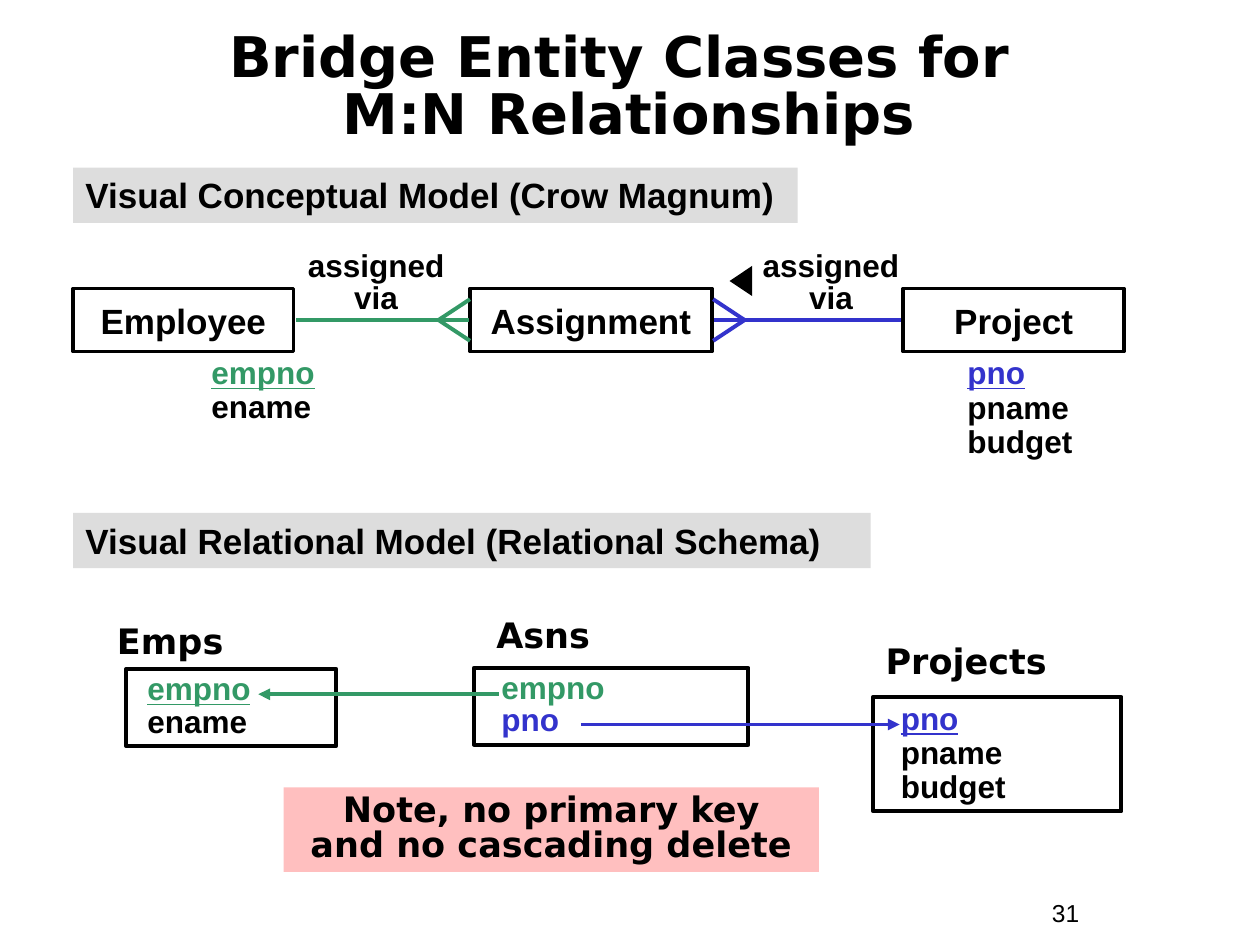
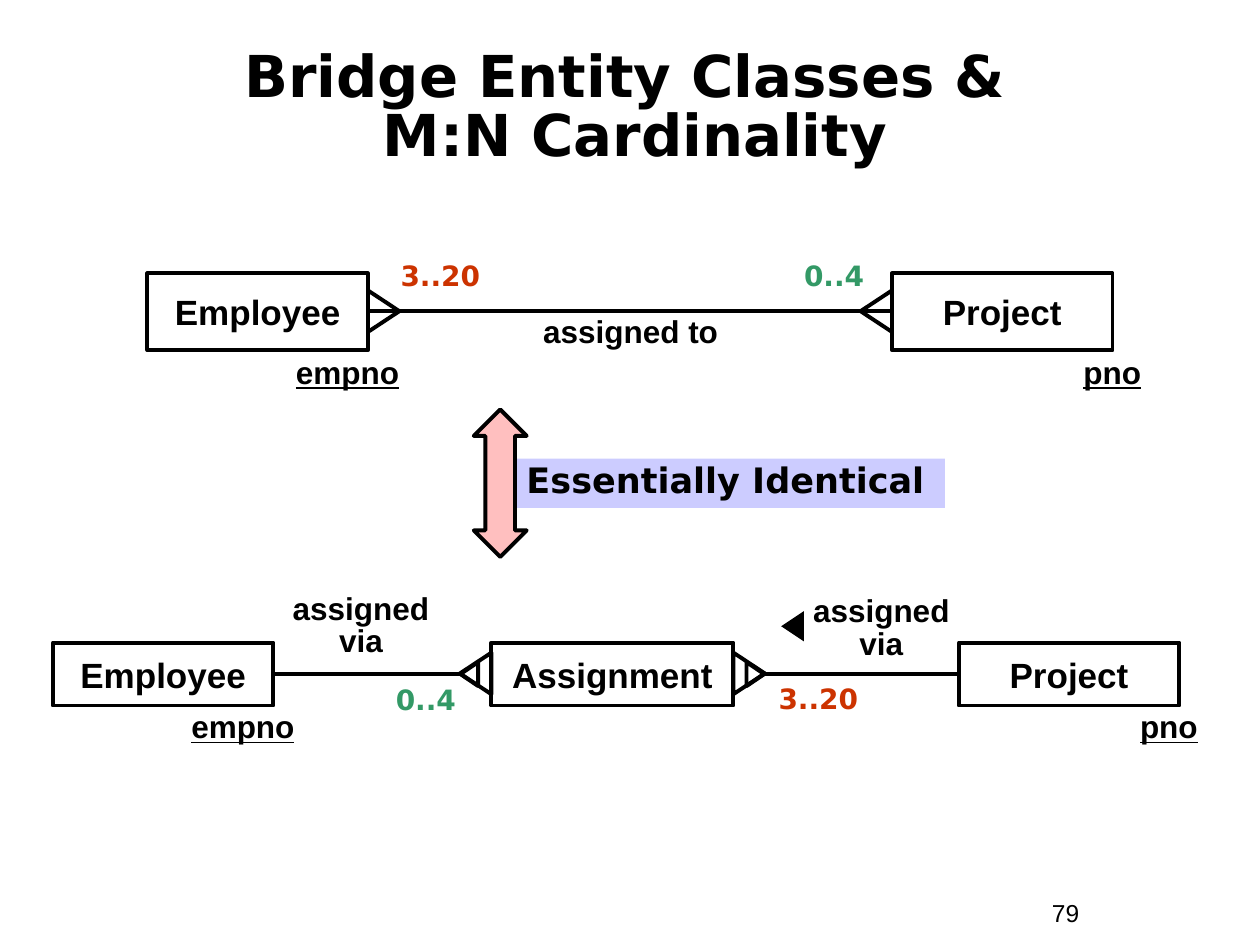
from lxml import etree
from pptx import Presentation
from pptx.dml.color import RGBColor
from pptx.enum import shapes, text
from pptx.oxml import ns
from pptx.util import Inches, Pt

BLACK = RGBColor(0x00, 0x00, 0x00)
GREEN = RGBColor(0x33, 0x99, 0x66)
BLUE = RGBColor(0x33, 0x33, 0xCC)
RED = RGBColor(0xCC, 0x33, 0x00)
GREY = RGBColor(0xDD, 0xDD, 0xDD)
PINK = RGBColor(0xFF, 0xBF, 0xBF)
LILAC = RGBColor(0xCC, 0xCC, 0xFF)

RECT = shapes.MSO_SHAPE.RECTANGLE
TRIANGLE = shapes.MSO_SHAPE.ISOSCELES_TRIANGLE
CENTER = text.PP_ALIGN.CENTER
MIDDLE = text.MSO_ANCHOR.MIDDLE
ARIAL, DEJAVU = "Arial", "DejaVu Sans"

TITLE = dict(name=DEJAVU, align=CENTER, anchor=MIDDLE, spacing=0.85)
ENTITY = dict(kind=RECT, edge=BLACK, size=20, align=CENTER, anchor=MIDDLE)
BAND = dict(kind=RECT, fill=GREY, size=20)
VERB = dict(align=CENTER, spacing=0.85)
FIELDS = dict(spacing=0.9)
TABLE_NAME = dict(name=DEJAVU, size=20)
CARDINALITY = dict(name=DEJAVU, size=16, align=CENTER)
CALLOUT = dict(kind=RECT, name=DEJAVU, size=20, spacing=0.85)


def put(page, at, lines=(), kind=None, fill=None, edge=None, turn=0, align=None,
        anchor=text.MSO_ANCHOR.TOP, spacing=1.0, margin=0.1, **font):
    """Add a text box, or a shape of the given kind; a line is text or (text, colour, underline)."""
    area = [Inches(length) for length in at]
    if kind is None:
        box = page.shapes.add_textbox(*area)
    else:
        box = page.shapes.add_shape(kind, *area)
        box.shadow.inherit = False
        box.rotation = turn
        for paint, colour in ((box.fill, fill), (box.line.fill, edge)):
            if colour is None:
                paint.background()
            else:
                paint.solid()
                paint.fore_color.rgb = colour
        if edge is not None:
            box.line.width = Pt(2.25)
    frame = box.text_frame
    frame.word_wrap = True
    frame.vertical_anchor = anchor
    frame.margin_left = Inches(margin)
    look = dict(name=ARIAL, size=18, bold=True) | font
    look["size"] = Pt(look["size"])
    for index, line in enumerate(lines):
        words, colour, underline = (line, BLACK, False) if isinstance(line, str) else line
        para = frame.add_paragraph() if index else frame.paragraphs[0]
        para.text = words
        para.alignment = align or text.PP_ALIGN.LEFT
        para.line_spacing = spacing
        for span in para.runs:
            for key, value in (look | dict(underline=underline)).items():
                setattr(span.font, key, value)
            span.font.color.rgb = colour
    return box


def link(page, start, end, colour=BLACK, arrow=False):
    ends = [Inches(length) for length in (*start, *end)]
    line = page.shapes.add_connector(shapes.MSO_CONNECTOR.STRAIGHT, *ends)
    line.line.color.rgb = colour
    line.line.width = Pt(2.25)
    properties = line._element.spPr
    if arrow:
        etree.SubElement(properties.find(ns.qn("a:ln")), ns.qn("a:tailEnd"), type="triangle")
    etree.SubElement(properties, ns.qn("a:effectLst"))


deck = Presentation()
deck.slide_width, deck.slide_height = Inches(10), Inches(7.5)
pages = []
for number, title, width, height, size in (
    ("31", "Bridge Entity Classes for \vM:N Relationships", 9.33, 0.75, 32),
    ("79", "Bridge Entity Classes & \vM:N Cardinality", 9.42, 1.08, 33),
):
    page = deck.slides.add_slide(deck.slide_layouts[6])
    put(page, (8.25, 7.08, 0.92, 0.34), [number], size=14, bold=False)
    put(page, (0.33, 0.33, width, height), [title], size=size, **TITLE)
    pages.append(page)
relationships, cardinality = pages

# Bridge entity row, on both slides
for page, top, lefts in ((relationships, 2.29, (0.58, 3.73, 7.17)),
                         (cardinality, 5.1, (0.42, 3.9, 7.61))):
    for name, left, width in zip(("Employee", "Assignment", "Project"), lefts, (1.75, 1.92, 1.75)):
        put(page, (left, top, width, 0.5), [name], **ENTITY)
for page, left, top in ((relationships, 2.32, 1.95), (relationships, 5.93, 1.95),
                        (cardinality, 2.2, 4.67), (cardinality, 6.33, 4.69)):
    put(page, (left, top, 1.33, 0.61), ["assigned via"], **VERB)
for page, left, top in ((relationships, 5.76, 2.14), (cardinality, 6.17, 4.88)):
    put(page, (left, top, 0.24, 0.18), kind=TRIANGLE, fill=BLACK, turn=270)

# Crow's feet: tip, entity edge, height of the line
for page, tip, edge, middle, colour in (
    (relationships, 3.48, 3.73, 2.54, GREEN),
    (relationships, 5.91, 5.66, 2.54, BLUE),
    (cardinality, 3.17, 2.92, 2.47, BLACK),
    (cardinality, 6.83, 7.08, 2.47, BLACK),
):
    for spread in (-0.165, 0.165):
        link(page, (tip, middle), (edge, middle + spread), colour)

# Slide 1: conceptual model
link(relationships, (2.35, 2.54), (3.72, 2.54), GREEN)
link(relationships, (7.15, 2.54), (5.67, 2.54), BLUE)
employee_fields = [("empno", GREEN, True), "ename"]
project_fields = [("pno", BLUE, True), "pname", "budget"]
assignment_fields = [("empno", GREEN, False), ("pno", BLUE, False)]
put(relationships, (1.58, 2.79, 1.5, 0.64), employee_fields, **FIELDS)
put(relationships, (7.58, 2.79, 1.67, 0.91), project_fields, **FIELDS)
put(relationships, (0.58, 1.33, 5.75, 0.44), ["Visual Conceptual Model (Crow Magnum)"], **BAND)

# Slide 1: relational model
put(relationships, (0.58, 4.07, 6.33, 0.44),
    ["Visual Relational Model (Relational Schema)"], **BAND)
for name, name_at, fields, table_at, margin, spacing in (
    ("Emps", (0.83, 4.87), employee_fields, (1, 5.31, 1.67, 0.61), 0.17, 0.85),
    ("Asns", (3.84, 4.82), assignment_fields, (3.76, 5.3, 2.18, 0.61), 0.22, 0.85),
    ("Projects", (6.93, 5.03), project_fields, (6.93, 5.53, 1.97, 0.91), 0.22, 0.9),
):
    put(relationships, (*name_at, 2.15, 0.44), [name], **TABLE_NAME)
    put(relationships, table_at, fields, kind=RECT, edge=BLACK, margin=margin, spacing=spacing)
link(relationships, (3.96, 5.51), (2.05, 5.51), GREEN, arrow=True)
link(relationships, (4.61, 5.75), (7.14, 5.75), BLUE, arrow=True)
put(relationships, (2.25, 6.25, 4.25, 0.67),
    ["Note, no primary key\vand no cascading delete"], fill=PINK, align=CENTER, **CALLOUT)

# Slide 2: direct relationship
for name, left in (("Employee", 1.17), ("Project", 7.08)):
    put(cardinality, (left, 2.17, 1.75, 0.61), [name], **ENTITY)
link(cardinality, (2.93, 2.47), (7.07, 2.47))
put(cardinality, (4.17, 2.47, 1.67, 0.36), ["assigned to"], **VERB)
for limits, colour, left, top, width in (
    ("3..20", RED, 2.83, 2, 1.33), ("0..4", GREEN, 6.08, 2, 1.08),
    ("0..4", GREEN, 2.84, 5.37, 1.08), ("3..20", RED, 5.83, 5.36, 1.33),
):
    put(cardinality, (left, top, width, 0.37), [(limits, colour, False)], **CARDINALITY)
for key, left, top, spacing in (("empno", 2.25, 2.81, 0.8), ("pno", 8.5, 2.81, 0.8),
                                ("empno", 1.42, 5.6, 0.9), ("pno", 8.95, 5.6, 0.9)):
    put(cardinality, (left, top, 0.97 if key == "pno" else 1.5, 0.37),
        [(key, BLACK, True)], spacing=spacing)

# Slide 2: equivalence and bridge links
put(cardinality, (4.08, 3.64, 3.42, 0.39), ["Essentially Identical"], fill=LILAC, **CALLOUT)
arrow = put(cardinality, (3.76, 3.25, 0.42, 1.17), kind=shapes.MSO_SHAPE.UP_DOWN_ARROW,
            fill=PINK, edge=BLACK)
arrow.adjustments[1] = 0.56
link(cardinality, (2.18, 5.35), (3.65, 5.35))
link(cardinality, (7.6, 5.35), (6.07, 5.35))
for turn, outer, inner in ((270, 3.61, 3.63), (90, 5.78, 5.9)):
    put(cardinality, (outer, 5.22, 0.33, 0.25), kind=TRIANGLE, edge=BLACK, turn=turn)
    put(cardinality, (inner, 5.28, 0.19, 0.14), kind=TRIANGLE, edge=BLACK, turn=turn)

deck.save("out.pptx")
